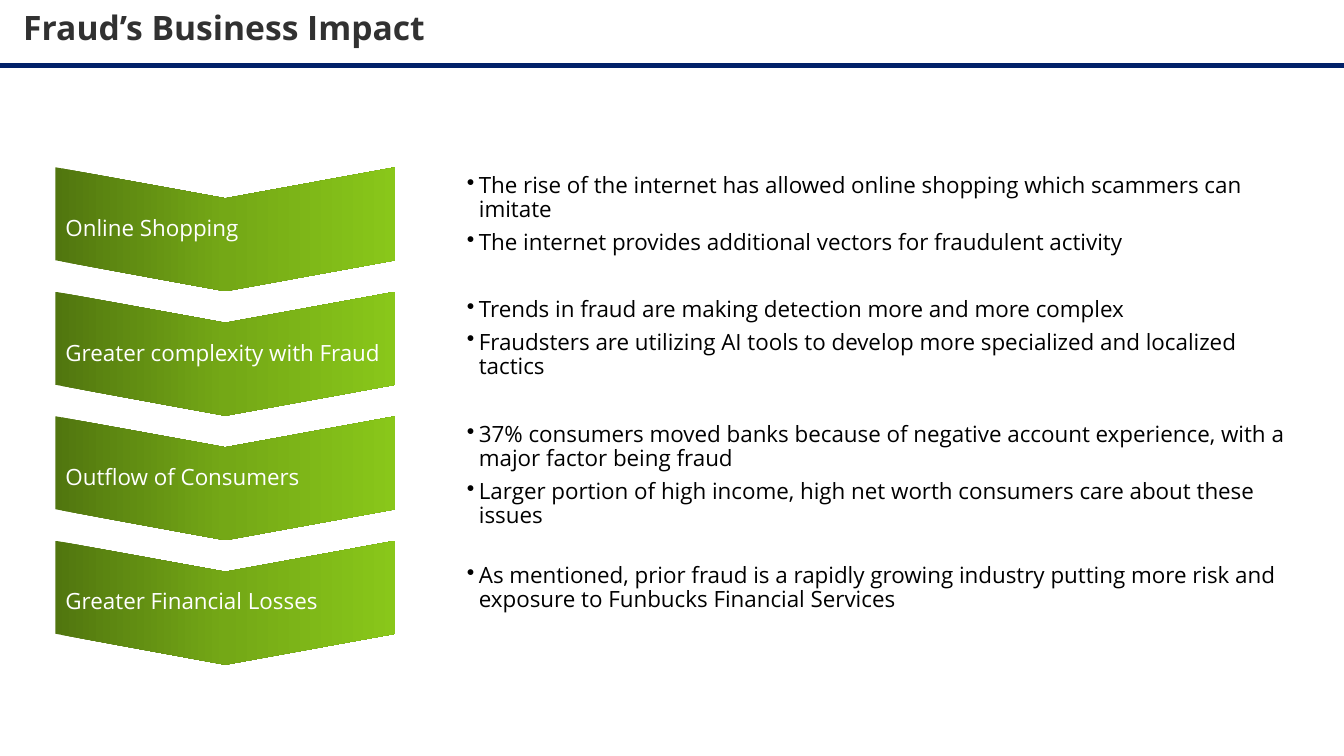
import copy

import pptx
import pptx.dml.color
import pptx.enum.shapes
import pptx.enum.text
import pptx.oxml.ns
import pptx.oxml.xmlchemy
import pptx.util

Inches = pptx.util.Inches
Pt = pptx.util.Pt
qn = pptx.oxml.ns.qn
OxmlElement = pptx.oxml.xmlchemy.OxmlElement
ANCHOR = pptx.enum.text.MSO_ANCHOR

FONT = "Open Sans"
COLORS = {
    "title": "313131",
    "rule": "012169",
    "body": "000000",
    "label": "FFFFFF",
}
GRADIENT = [(0, "51760F"), (0.5, "74A816"), (1, "89C71A")]

# Label, top of its bullet text, height of the text, bullets
IMPACTS = [
    ("Online Shopping", 1.73, 0.89, [
        "The rise of the internet has allowed online shopping which scammers can imitate",
        "The internet provides additional vectors for fraudulent activity",
    ]),
    ("Greater complexity with Fraud", 2.96, 0.89, [
        "Trends in fraud are making detection more and more complex",
        "Fraudsters are utilizing AI tools to develop more specialized and localized tactics",
    ]),
    ("Outflow of Consumers", 4.2, 1.16, [
        "37% consumers moved banks because of negative account experience, with a major factor being fraud",
        "Larger portion of high income, high net worth consumers care about these issues",
    ]),
    ("Greater Financial Losses", 5.6, 0.54, [
        "As mentioned, prior fraud is a rapidly growing industry putting more risk and exposure to Funbucks Financial Services",
    ]),
]
CHEVRON_W, CHEVRON_H = 1.23, 3.37  # before the quarter turn
CHEVRON_LEFT, CHEVRON_TOP = 1.62, 0.59
PITCH = 1.235


def rgb(value):
    return pptx.dml.color.RGBColor.from_string(value)


def write(tf, lines, size, color, anchor=ANCHOR.TOP, bold=False):
    tf.margin_left = tf.margin_right = tf.margin_top = tf.margin_bottom = 0
    tf.word_wrap = True
    tf.auto_size = pptx.enum.text.MSO_AUTO_SIZE.NONE
    tf.vertical_anchor = anchor
    tf.text = "\n".join(lines)
    for p in tf.paragraphs:
        p.alignment = pptx.enum.text.PP_ALIGN.LEFT
        p.line_spacing = 0.9
        p.space_before = Pt(6)
        r = p.runs[0]
        r.font.name = FONT
        r.font.size = Pt(size)
        r.font.bold = bold
        r.font.color.rgb = rgb(color)


prs = pptx.Presentation()
prs.slide_width = Inches(13.33)
prs.slide_height = Inches(7.5)
s = prs.slides.add_slide(prs.slide_layouts[5])

# Title
title = s.shapes.title
title.left, title.top = Inches(0.23), Inches(0.11)
title.width, title.height = Inches(13.1), Inches(0.4)
write(title.text_frame, ["Fraud’s Business Impact"], 24, COLORS["title"], bold=True)

# Rule under the title
rule = s.shapes.add_connector(
    pptx.enum.shapes.MSO_CONNECTOR.STRAIGHT,
    Inches(0), Inches(0.65), Inches(13.33), Inches(0.65))
rule.line.color.rgb = rgb(COLORS["rule"])
rule.line.width = Pt(4)
rule._element.spPr.append(OxmlElement("a:effectLst"))

for i, (label, top, height, bullets) in enumerate(IMPACTS):
    # Chevron pointing down, dark to light from left to right
    chevron_top = CHEVRON_TOP + i * PITCH
    sp = s.shapes.add_shape(
        pptx.enum.shapes.MSO_SHAPE.CHEVRON, Inches(CHEVRON_LEFT),
        Inches(chevron_top), Inches(CHEVRON_W), Inches(CHEVRON_H))
    sp.rotation = 90
    sp.adjustments[0] = 0.25
    sp.shadow.inherit = False
    sp.line.fill.background()
    sp.fill.gradient()
    sp.fill.gradient_angle = 90
    stops = sp._element.spPr.find(qn("a:gradFill")).find(qn("a:gsLst"))
    stops.append(copy.deepcopy(stops[0]))
    for stop, (position, color) in zip(sp.fill.gradient_stops, GRADIENT):
        stop.position = position
        stop.color.rgb = rgb(color)

    # Label, level with the chevron's middle
    middle = chevron_top + CHEVRON_H / 2
    tb = s.shapes.add_textbox(
        Inches(0.65), Inches(middle - 0.2), Inches(3.27), Inches(0.4))
    write(tb.text_frame, [label], 16, COLORS["label"], ANCHOR.MIDDLE)

    # Bullets
    tb = s.shapes.add_textbox(
        Inches(4.63), Inches(top), Inches(8.16), Inches(height))
    write(tb.text_frame, bullets, 16, COLORS["body"])
    for p in tb.text_frame.paragraphs:
        pPr = p._p.get_or_add_pPr()
        pPr.set("marL", str(Inches(0.12)))
        pPr.set("indent", str(-Inches(0.12)))
        bullet = OxmlElement("a:buChar")
        bullet.set("char", "•")
        pPr.append(bullet)

prs.save("out.pptx")
